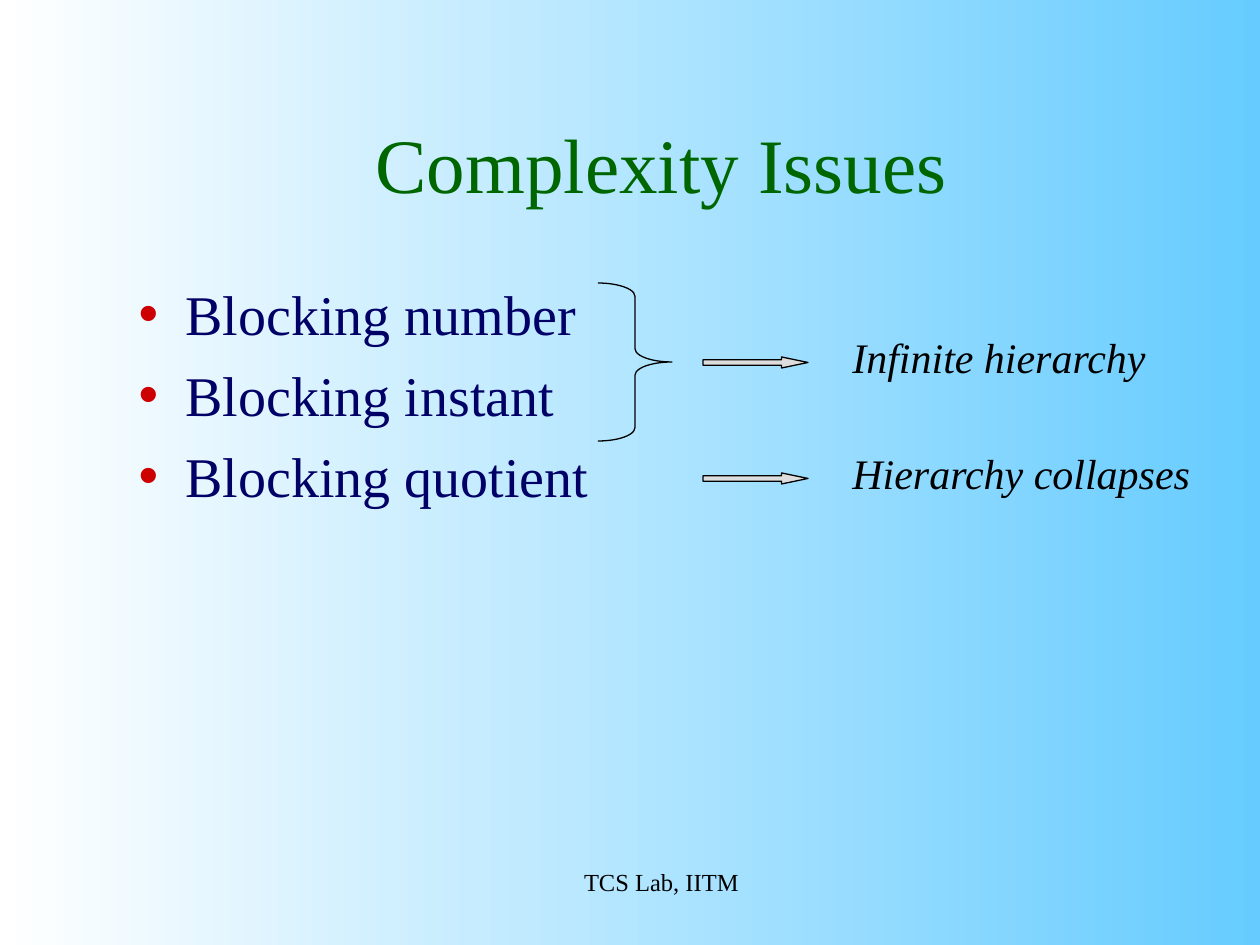
"""Build the Complexity Issues slide."""
from lxml import etree
from pptx import Presentation, util as u
from pptx.dml.color import RGBColor
from pptx.enum import shapes, text
from pptx.oxml import ns

TITLE = "Complexity Issues"
MEASURES = ["Blocking number", "Blocking instant", "Blocking quotient"]
FOOTER = "TCS Lab, IITM"
OUTCOMES = [
    {"label": "Infinite hierarchy", "top": 325, "width": 357},
    {"label": "Hierarchy collapses", "top": 441, "width": 388},
]

FONT = "Times New Roman"
GREEN = RGBColor(0x00, 0x66, 0x00)
NAVY = RGBColor(0x00, 0x00, 0x66)
RED = RGBColor(0xCC, 0x00, 0x00)
BLACK = RGBColor(0x00, 0x00, 0x00)
GREY = RGBColor(0xDD, 0xDD, 0xDD)
SKY = RGBColor(0x66, 0xCC, 0xFF)
WHITE = RGBColor(0xFF, 0xFF, 0xFF)

PX = u.Inches(1) / 126
ARROW_HEIGHT = 11
ARROW_DROP = 32
INDENT = 47


def px(*lengths):
    return [u.Emu(round(length * PX)) for length in lengths]


def place(part, *box):
    part.left, part.top, part.width, part.height = px(*box)


def style(paragraph, size, color, align=text.PP_ALIGN.LEFT, before=0, italic=False):
    paragraph.alignment = align
    paragraph.space_before = u.Pt(before)
    font = paragraph.font
    font.name, font.size, font.italic = FONT, u.Pt(size), italic
    font.color.rgb = color


def add_bullet(paragraph):
    props = paragraph._p.get_or_add_pPr()
    indent, = px(INDENT)
    props.set("marL", str(indent))
    props.set("indent", str(-indent))
    color = etree.SubElement(props, ns.qn("a:buClr"))
    etree.SubElement(color, ns.qn("a:srgbClr"), val=str(RED))
    etree.SubElement(props, ns.qn("a:buChar"), char="•")


def add_outlined(slide, kind, box, adjustments, fill=None):
    shape = slide.shapes.add_shape(kind, *px(*box))
    shape.shadow.inherit = False
    for index, value in enumerate(adjustments):
        shape.adjustments[index] = value
    if fill is None:
        shape.fill.background()
    else:
        shape.fill.solid()
        shape.fill.fore_color.rgb = fill
    shape.line.color.rgb = BLACK
    shape.line.width = u.Pt(0.75)


def add_label(slide, wording, box, size, **look):
    label = slide.shapes.add_textbox(*px(*box))
    label.text_frame.word_wrap = True
    label.text_frame.text = wording
    style(label.text_frame.paragraphs[0], size, BLACK, **look)


def main():
    deck = Presentation()
    deck.slide_width, deck.slide_height = px(1260, 945)
    slide = deck.slides.add_slide(deck.slide_layouts[1])

    backdrop = slide.background.fill
    backdrop.gradient()
    backdrop.gradient_angle = 180
    for stop, color in zip(backdrop.gradient_stops, (SKY, WHITE)):
        stop.color.rgb = color

    title, measures = slide.placeholders
    place(title, 126, 84, 1071, 158)
    title.text_frame.text = TITLE
    title.text_frame.vertical_anchor = text.MSO_ANCHOR.MIDDLE
    style(title.text_frame.paragraphs[0], 44, GREEN, text.PP_ALIGN.CENTER)

    place(measures, 126, 273, 1071, 567)
    measures.text_frame.text = "\n".join(MEASURES)
    for paragraph in measures.text_frame.paragraphs:
        add_bullet(paragraph)
        style(paragraph, 32, NAVY, before=8)

    for part in (title, measures):
        part.text_frame.auto_size = text.MSO_AUTO_SIZE.NONE

    kinds = shapes.MSO_SHAPE
    add_outlined(slide, kinds.RIGHT_BRACE, (598, 283, 74, 158), (0.18, 0.5))
    for outcome in OUTCOMES:
        top = outcome["top"]
        add_outlined(slide, kinds.RIGHT_ARROW,
                     (703, top + ARROW_DROP, 105, ARROW_HEIGHT), (0.5, 2.4), GREY)
        add_label(slide, outcome["label"], (840, top, outcome["width"], 63), 24,
                  before=15, italic=True)
    add_label(slide, FOOTER, (462, 861, 399, 63), 14, align=text.PP_ALIGN.CENTER)

    deck.save("out.pptx")


if __name__ == "__main__":
    main()
